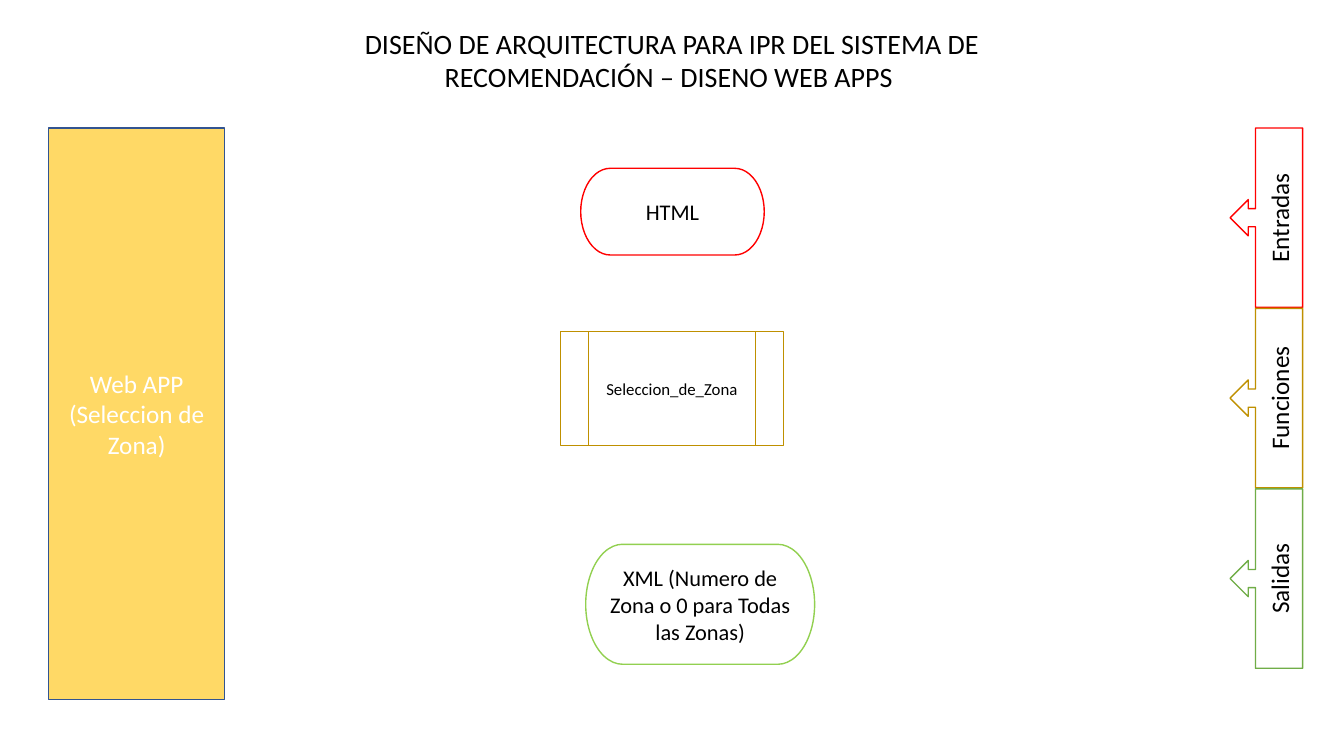
from pptx import Presentation
from pptx.dml.color import RGBColor
from pptx.enum.shapes import MSO_SHAPE
from pptx.enum.text import MSO_ANCHOR, MSO_AUTO_SIZE, PP_ALIGN
from pptx.util import Inches, Pt

BLACK = RGBColor(0x00, 0x00, 0x00)
WHITE = RGBColor(0xFF, 0xFF, 0xFF)
YELLOW = RGBColor(0xFF, 0xD9, 0x66)
BLUE = RGBColor(0x32, 0x54, 0x91)
RED = RGBColor(0xFF, 0x00, 0x00)
GOLD = RGBColor(0xBF, 0x90, 0x00)
GREEN = RGBColor(0x70, 0xAD, 0x47)
LIME = RGBColor(0x92, 0xD0, 0x50)

STAGES_LEFT, STAGES_TOP = 12.2, 1.27
STAGE_WIDTH, STAGE_HEIGHT, STAGE_STEP = 0.72, 1.78, 1.79


class SlideBuilder:
    def __init__(self, deck, font="Calibri"):
        self.slide = deck.slides.add_slide(deck.slide_layouts[5])
        self.font = font

    def set_text(self, shape, text, size, color, anchor):
        frame = shape.text_frame
        frame_format = {
            "word_wrap": True,
            "auto_size": MSO_AUTO_SIZE.NONE,
            "vertical_anchor": anchor,
        }
        for name, value in frame_format.items():
            setattr(frame, name, value)
        para = frame.paragraphs[0]
        para.alignment = PP_ALIGN.CENTER
        span = para.add_run()
        span.text = text
        for name, value in {"name": self.font, "size": Pt(size)}.items():
            setattr(span.font, name, value)
        span.font.color.rgb = color

    def title(self, text, bounds, size):
        title = self.slide.shapes.title
        for name, value in zip(("left", "top", "width", "height"), bounds):
            setattr(title, name, Inches(value))
        self.set_text(title, text, size, BLACK, MSO_ANCHOR.TOP)

    def box(self, kind, bounds, text, size, line, fill=WHITE, color=BLACK):
        box = self.slide.shapes.add_shape(kind, *map(Inches, bounds))
        box.shadow.inherit = False
        if fill is None:
            box.fill.background()
        else:
            box.fill.solid()
            box.fill.fore_color.rgb = fill
        box.line.color.rgb = line
        box.line.width = Pt(1)
        self.set_text(box, text, size, color, MSO_ANCHOR.MIDDLE)
        return box

    def stage(self, row, text, line):
        """Add a callout on the right edge, with text reading upwards."""
        bounds = (STAGES_LEFT, STAGES_TOP + row * STAGE_STEP, STAGE_WIDTH, STAGE_HEIGHT)
        callout = self.box(MSO_SHAPE.LEFT_ARROW_CALLOUT, bounds, text, 18, line)
        callout.element.txBody.bodyPr.set("vert", "vert270")


def main():
    deck = Presentation()
    deck.slide_width, deck.slide_height = Inches(13.33), Inches(7.5)
    page = SlideBuilder(deck)

    page.title(
        "DISEÑO DE ARQUITECTURA PARA IPR DEL SISTEMA DE "
        "RECOMENDACIÓN – DISENO WEB APPS ",
        (3.01, 0.21, 7.31, 0.77), 20,
    )
    page.box(MSO_SHAPE.RECTANGLE, (0.48, 1.27, 1.75, 5.67),
             "Web APP (Seleccion de Zona)", 18, BLUE, YELLOW, WHITE)
    page.box(MSO_SHAPE.FLOWCHART_PREDEFINED_PROCESS, (5.56, 3.29, 2.21, 1.13),
             "Seleccion_de_Zona", 12, GOLD, fill=None)

    stages = [("Entradas", RED), ("Funciones", GOLD), ("Salidas", GREEN)]
    for row, (text, line) in enumerate(stages):
        page.stage(row, text, line)

    page.box(MSO_SHAPE.FLOWCHART_TERMINATOR, (5.76, 1.67, 1.82, 0.86), "HTML", 16, RED)
    page.box(MSO_SHAPE.FLOWCHART_TERMINATOR, (5.81, 5.4, 2.27, 1.19),
             "XML (Numero de Zona o 0 para Todas las Zonas)", 16, LIME)

    deck.save("out.pptx")


if __name__ == "__main__":
    main()
